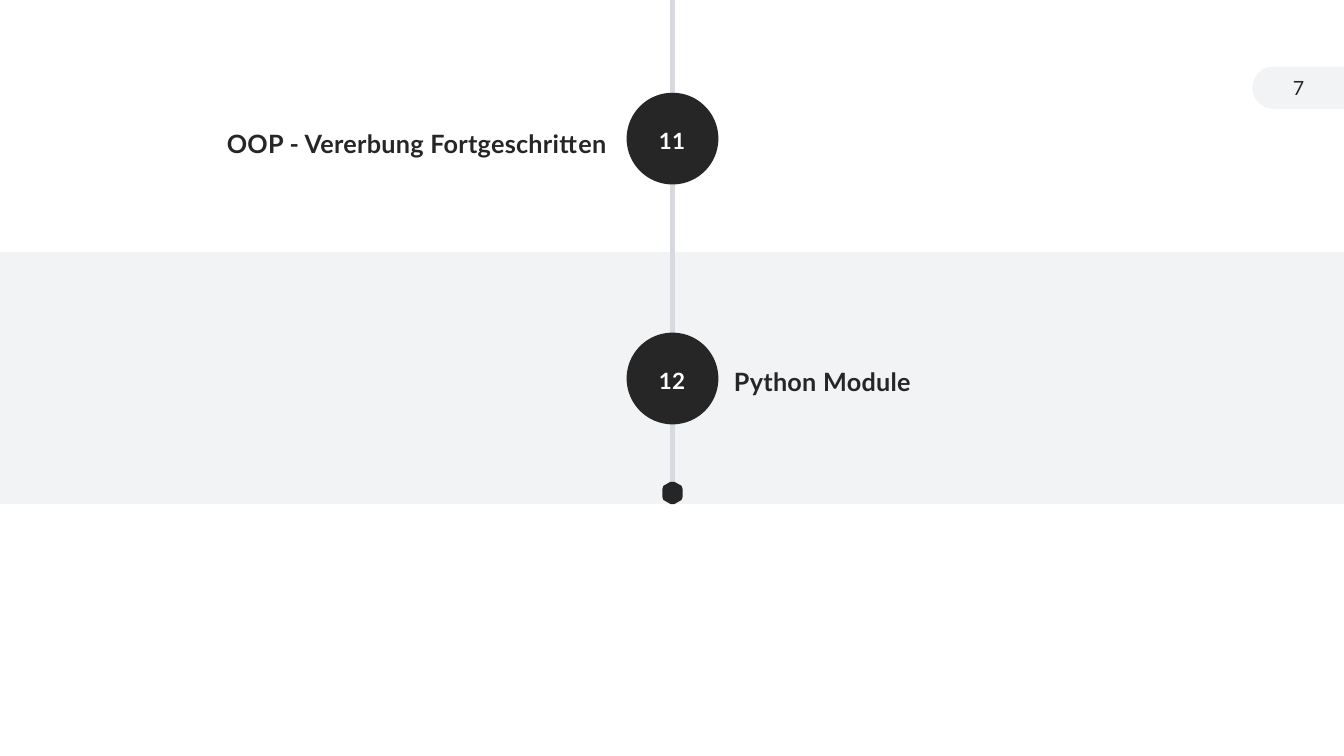
from dataclasses import dataclass

from lxml import etree
from pptx import Presentation
from pptx.dml.color import RGBColor
from pptx.enum.shapes import MSO_CONNECTOR, MSO_SHAPE
from pptx.enum.text import MSO_ANCHOR, MSO_AUTO_SIZE, PP_ALIGN
from pptx.oxml.ns import qn
from pptx.util import Inches, Pt

LEFT, CENTER, RIGHT = PP_ALIGN.LEFT, PP_ALIGN.CENTER, PP_ALIGN.RIGHT
TOP, MIDDLE = MSO_ANCHOR.TOP, MSO_ANCHOR.MIDDLE
GROW, FIXED = MSO_AUTO_SIZE.SHAPE_TO_FIT_TEXT, MSO_AUTO_SIZE.NONE
RECT, OVAL, TAB = MSO_SHAPE.RECTANGLE, MSO_SHAPE.OVAL, MSO_SHAPE.ROUND_2_SAME_RECTANGLE
STRAIGHT = MSO_CONNECTOR.STRAIGHT


@dataclass(frozen=True)
class Theme:
    font: str = "Lato"
    dark: str = "262626"
    pale: str = "F1F3F5"
    rule: str = "D6DAE0"
    white: str = "FFFFFF"
    label: int = 18
    number: int = 16
    page: int = 14


@dataclass(frozen=True)
class Box:
    left: float
    top: float
    width: float
    height: float

    def emu(self) -> tuple:
        return tuple(Inches(v) for v in (self.left, self.top, self.width, self.height))


@dataclass(frozen=True)
class Stop:
    number: str
    title: str
    disc: float
    digits: float
    label: Box
    align: PP_ALIGN


THEME = Theme()
WIDTH, HEIGHT = 13.33, 7.5
AXIS = 6.67
DISC = 0.91

STOPS = [
    Stop("11", "OOP - Vererbung Fortgeschritten", 0.92, 1.15,
         Box(0.35, 1.15, 5.67, 0.44), RIGHT),
    Stop("12", "Python Module", 3.3, 3.53, Box(7.28, 3.51, 5.33, 0.44), LEFT),
]

deck = Presentation()
deck.slide_width, deck.slide_height = Inches(WIDTH), Inches(HEIGHT)
slide = deck.slides.add_slide(deck.slide_layouts[6])
shapes = slide.shapes


def paint(shape, color: str):
    shape.shadow.inherit = False
    shape.fill.solid()
    shape.fill.fore_color.rgb = RGBColor.from_string(color)
    shape.line.fill.background()
    return shape


def block(kind: MSO_SHAPE, box: Box, color: str):
    return paint(shapes.add_shape(kind, *box.emu()), color)


def write(text: str, box: Box, *, size: int, color: str = THEME.dark,
          align: PP_ALIGN = LEFT, anchor: MSO_ANCHOR = TOP, bold: bool = True,
          wrap: bool = True, fit: MSO_AUTO_SIZE = GROW, lead: float = 1.25,
          track: int = 20) -> None:
    frame = shapes.add_textbox(*box.emu()).text_frame
    frame.word_wrap, frame.auto_size, frame.vertical_anchor = wrap, fit, anchor
    frame.margin_left = frame.margin_right = Inches(0)
    frame.margin_top = frame.margin_bottom = Inches(0.05)
    para = frame.paragraphs[0]
    para.alignment, para.line_spacing = align, lead
    run = para.add_run()
    run.text = text
    font = run.font
    font.name, font.size, font.bold = THEME.font, Pt(size), bold
    font.color.rgb = RGBColor.from_string(color)
    if track:
        run._r.get_or_add_rPr().set("spc", str(track))


def spine(end: float) -> None:
    line = shapes.add_connector(STRAIGHT, Inches(AXIS), Inches(0), Inches(AXIS), Inches(end))
    line.line.color.rgb = RGBColor.from_string(THEME.rule)
    line.line.width = Pt(4)
    etree.SubElement(line._element.spPr, qn("a:effectLst"))


def cap(top: float, height: float) -> None:
    """Hexagon with clipped corners, mirrored from its upper half."""
    upper = [(-0.1, 0.07), (-0.09, 0.04), (-0.02, 0), (0.02, 0), (0.09, 0.04), (0.1, 0.07)]
    lower = [(x, height - y) for x, y in reversed(upper)]
    points = [(Inches(AXIS + x), Inches(top + y)) for x, y in upper + lower]
    path = shapes.build_freeform(*points[0])
    path.add_line_segments(points[1:], close=True)
    paint(path.convert_to_shape(), THEME.dark)


def stop(item: Stop) -> None:
    block(OVAL, Box(AXIS - DISC / 2, item.disc, DISC, DISC), THEME.dark)
    write(item.number, Box(AXIS - 0.14, item.digits, 0.27, 0.4), size=THEME.number,
          color=THEME.white, align=CENTER, wrap=False)
    write(item.title, item.label, size=THEME.label, align=item.align)


# Page number tab, turned so that its round end faces left
tab = block(TAB, Box(12.67, 0.41, 0.42, 0.92), THEME.pale)
tab.adjustments[0] = 0.5
tab.rotation = 270
write("7", Box(12.42, 0.67, 0.92, 0.4), size=THEME.page, align=CENTER, anchor=MIDDLE,
      bold=False, fit=FIXED, lead=1.0, track=0)

# Middle band
block(RECT, Box(0, HEIGHT / 3, WIDTH, HEIGHT / 3), THEME.pale)

# Timeline
spine(4.83)
cap(4.78, 0.22)
for item in STOPS:
    stop(item)

deck.save("out.pptx")
